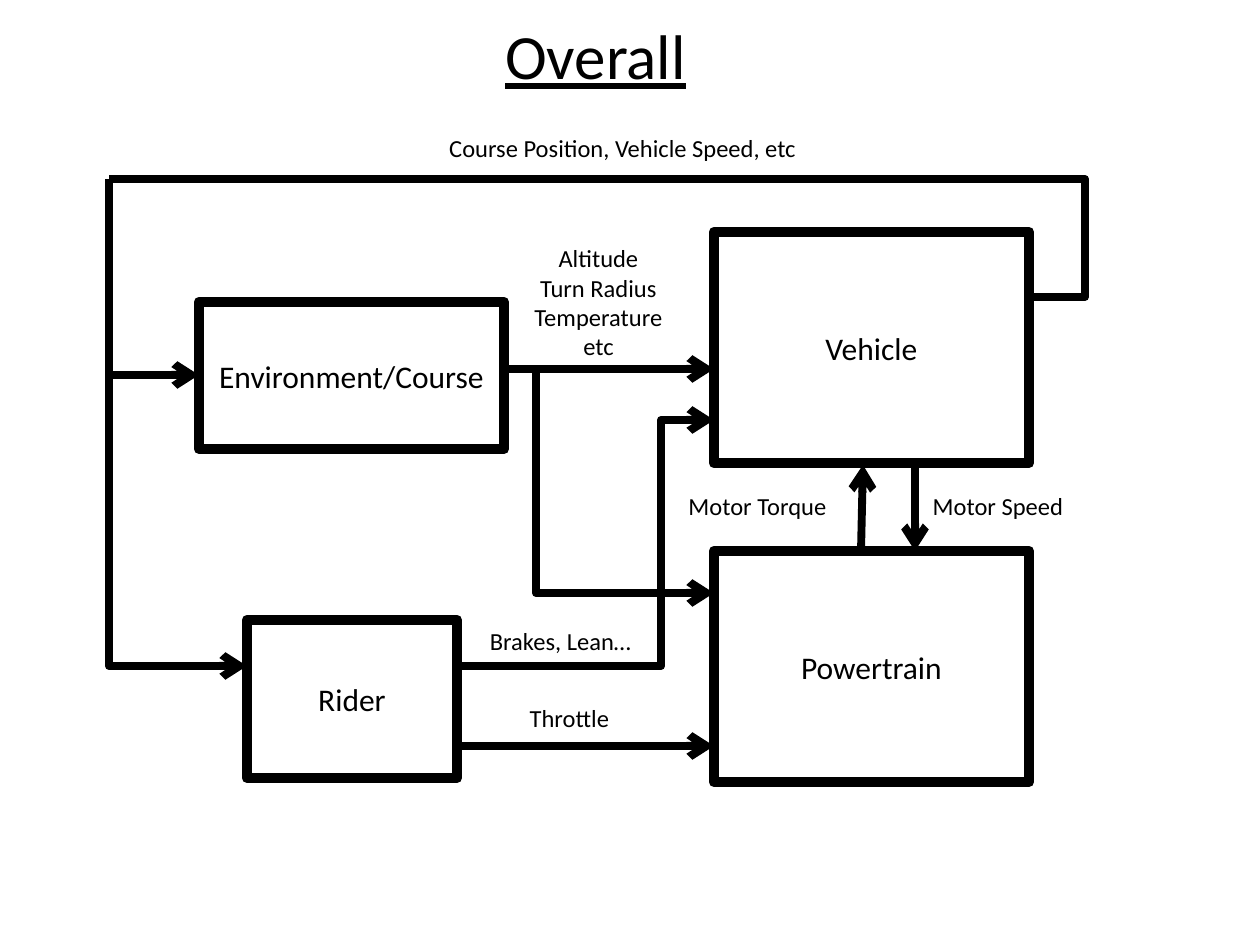
from lxml.etree import SubElement
from pptx import Presentation
from pptx.dml.color import RGBColor
from pptx.enum.shapes import MSO_CONNECTOR as CONNECTOR, MSO_SHAPE as SHAPE
from pptx.enum.text import MSO_ANCHOR as ANCHOR, MSO_AUTO_SIZE as AUTO_SIZE, PP_ALIGN as ALIGN
from pptx.oxml.ns import qn
from pptx.util import Emu, Pt

PX = 914400 / 126
BLACK, WHITE = "000000", "FFFFFF"


def px(*lengths):
    """Turn pixel lengths into EMU."""
    return [Emu(round(length * PX)) for length in lengths]


def write_text(shape, text, **font_format):
    """Fill a shape with centred black Calibri, one paragraph a line."""
    shape.text_frame.word_wrap = True
    shape.text_frame.text = text
    for paragraph in shape.text_frame.paragraphs:
        paragraph.alignment = ALIGN.CENTER
        paragraph.font.color.rgb = RGBColor.from_string(BLACK)
        for name, value in {"name": "Calibri", **font_format}.items():
            setattr(paragraph.font, name, value)


presentation = Presentation()
presentation.slide_width, presentation.slide_height = px(1260, 945)
slide = presentation.slides.add_slide(presentation.slide_layouts[5])

title = slide.shapes.title
title.left, title.top, title.width, title.height = px(116, 10, 959, 89)
write_text(title, "Overall", size=Pt(36), underline=True)
title.text_frame.vertical_anchor = ANCHOR.TOP
title.text_frame.auto_size = AUTO_SIZE.NONE

blocks = [
    ("Rider", 247, 620, 210, 158),
    ("Environment/Course", 199, 302, 305, 147),
    ("Vehicle", 714, 232, 315, 231),
    ("Powertrain", 714, 551, 315, 231),
]
for name, *box in blocks:
    block = slide.shapes.add_shape(SHAPE.RECTANGLE, *px(*box))
    block.shadow.inherit = False
    block.fill.solid()
    block.fill.fore_color.rgb = RGBColor.from_string(WHITE)
    block.line.color.rgb = RGBColor.from_string(BLACK)
    block.line.width = Pt(6)
    block.text_frame.vertical_anchor = ANCHOR.MIDDLE
    write_text(block, name, size=Pt(18))

# Start x and y, end x and y, x of the vertical run (None if straight), arrowhead
signals = [
    (1029, 297, 109, 179, 1085, False),
    (109, 179, 199, 375, 109, True),
    (504, 369, 714, 369, None, True),
    (861, 553, 863, 465, None, True),
    (915, 467, 915, 551, None, True),
    (457, 666, 714, 420, 661, True),
    (109, 328, 247, 666, 109, True),
    (457, 746, 714, 746, None, True),
    (536, 369, 714, 593, 536, True),
]
for start_x, start_y, end_x, end_y, bend_x, has_arrow in signals:
    kind = CONNECTOR.STRAIGHT if bend_x is None else CONNECTOR.ELBOW
    signal = slide.shapes.add_connector(kind, *px(start_x, start_y, end_x, end_y))
    signal.line.color.rgb = RGBColor.from_string(BLACK)
    signal.line.width = Pt(4.5)
    properties = signal.element.spPr
    if bend_x is not None:
        bend = round(100000 * (bend_x - start_x) / (end_x - start_x))
        guides = properties.find(qn("a:prstGeom")).get_or_add_avLst()
        SubElement(guides, qn("a:gd"), name="adj1", fmla=f"val {bend}")
    if has_arrow:
        SubElement(signal.line._get_or_add_ln(), qn("a:tailEnd"), type="arrow")
    SubElement(properties, qn("a:effectLst"))

labels = [
    ("Altitude\nTurn Radius\nTemperature\netc", 504, 237, 189, 131),
    ("Course Position, Vehicle Speed, etc ", 420, 127, 411, 43),
    ("Motor Torque", 663, 485, 189, 43),
    ("Motor Speed", 915, 485, 166, 43),
    ("Brakes, Lean…", 466, 620, 189, 43),
    ("Throttle", 475, 697, 189, 43),
]
for text, *box in labels:
    label = slide.shapes.add_textbox(*px(*box))
    write_text(label, text, size=Pt(14))
    label.text_frame.auto_size = AUTO_SIZE.SHAPE_TO_FIT_TEXT

presentation.save("out.pptx")
